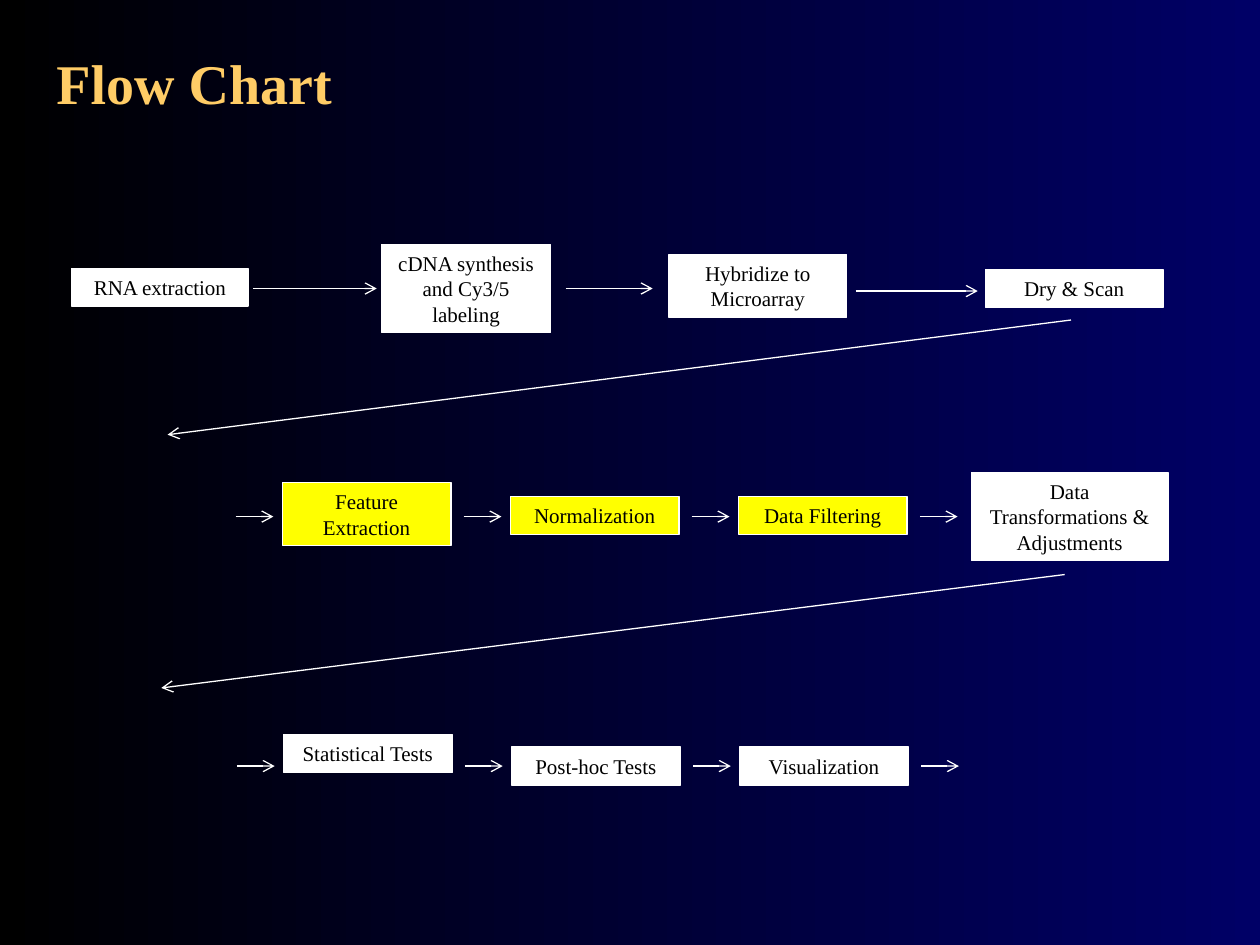
from dataclasses import dataclass
from typing import Any

from lxml import etree
from pptx import Presentation
from pptx import util as u
from pptx.dml.color import RGBColor
from pptx.enum import shapes, text
from pptx.oxml import ns

BLACK = RGBColor(0x00, 0x00, 0x00)
NAVY = RGBColor(0x00, 0x00, 0x66)
WHITE = RGBColor(0xFF, 0xFF, 0xFF)
YELLOW = RGBColor(0xFF, 0xFF, 0x00)
GOLD = RGBColor(0xFF, 0xCC, 0x66)

STEP_WIDTH = 13.4
PITCH = 18.1

WET_LAB = [
    ("RNA extraction", 5.7, 21.3, 14.0, 1),
    ("cDNA synthesis and Cy3/5 labeling", 30.3, 19.4, STEP_WIDTH, 3),
    ("Hybridize to Microarray", 53.1, 20.2, 14.1, 2),
    ("Dry & Scan", 78.2, 21.4, 14.1, 1),
]
PREPROCESSING = [("Feature Extraction", 38.3, 2), ("Normalization", 39.4, 1), ("Data Filtering", 39.4, 1)]
ANALYSIS = [("Statistical Tests", 58.3, 1), ("Post-hoc Tests", 59.3, 1), ("Visualization", 59.3, 1)]
WET_LAB_ARROWS = [(20.1, 29.9, 22.9), (44.9, 51.8, 22.9), (67.9, 77.6, 23.1)]
RETURN_ARROWS = [(85, 25.4, 13.3, 34.5), (84.5, 45.6, 12.8, 54.6)]


@dataclass
class FlowSlide:
    """Draws on a slide divided into 100 columns and 75 rows."""

    slide: Any
    column: int
    row: int
    typeface: str = "Times New Roman"

    def background(self, start, end):
        fill = self.slide.background.fill
        fill.gradient()
        fill.gradient_angle = 0
        for stop, color in zip(fill.gradient_stops, (start, end)):
            stop.color.rgb = color

    def place(self, left, top, width, height):
        return (round(left * self.column), round(top * self.row),
                round(width * self.column), round(height * self.row))

    def label(self, frame, words, color, size, align, bold=False):
        frame.word_wrap = True
        frame.vertical_anchor = text.MSO_ANCHOR.MIDDLE
        paragraph = frame.paragraphs[0]
        paragraph.alignment = align
        run = paragraph.add_run()
        run.text = words
        style = {"name": self.typeface, "size": u.Pt(size), "bold": bold}
        for attribute, value in style.items():
            setattr(run.font, attribute, value)
        run.font.color.rgb = color

    def title(self, words, *area):
        heading = self.slide.shapes.add_textbox(*self.place(*area))
        self.label(heading.text_frame, words, GOLD, 32, text.PP_ALIGN.LEFT, bold=True)

    def step(self, words, left, top, width, lines, color=WHITE):
        area = self.place(left, top, width, 1 + 2 * lines)
        step = self.slide.shapes.add_shape(shapes.MSO_SHAPE.RECTANGLE, *area)
        step.shadow.inherit = False
        step.fill.solid()
        step.fill.fore_color.rgb = color
        step.line.color.rgb = WHITE
        step.line.width = u.Pt(0.75)
        self.label(step.text_frame, words, BLACK, 12, text.PP_ALIGN.CENTER)

    def arrow(self, *ends):
        arrow = self.slide.shapes.add_connector(
            shapes.MSO_CONNECTOR.STRAIGHT, *self.place(*ends))
        arrow.line.color.rgb = WHITE
        arrow.line.width = u.Pt(0.75)
        properties = arrow._element.spPr
        etree.SubElement(properties.find(ns.qn("a:ln")), ns.qn("a:tailEnd"), type="arrow")
        etree.SubElement(properties, ns.qn("a:effectLst"))


def main():
    deck = Presentation()
    deck.slide_width, deck.slide_height = u.Inches(10), u.Inches(7.5)
    flow = FlowSlide(deck.slides.add_slide(deck.slide_layouts[6]),
                     deck.slide_width // 100, deck.slide_height // 75)
    flow.background(BLACK, NAVY)
    flow.title("Flow Chart", 3.5, -1.9, 93.7, 16.8)

    for step in WET_LAB:
        flow.step(*step)
    for start, end, level in WET_LAB_ARROWS:
        flow.arrow(start, level, end, level)

    for steps, left, level, color in ((PREPROCESSING, 22.4, 41, YELLOW),
                                      (ANALYSIS, 22.5, 60.8, WHITE)):
        for index, (words, top, lines) in enumerate(steps):
            flow.step(words, left + index * PITCH, top, STEP_WIDTH, lines, color)
        for index in range(len(steps) + 1):
            start = left - 3.7 + index * PITCH
            flow.arrow(start, level, start + 3, level)
    flow.step("Data Transformations & Adjustments", 77.1, 37.5, 15.6, 3)

    for ends in RETURN_ARROWS:
        flow.arrow(*ends)
    deck.save("out.pptx")


if __name__ == "__main__":
    main()
